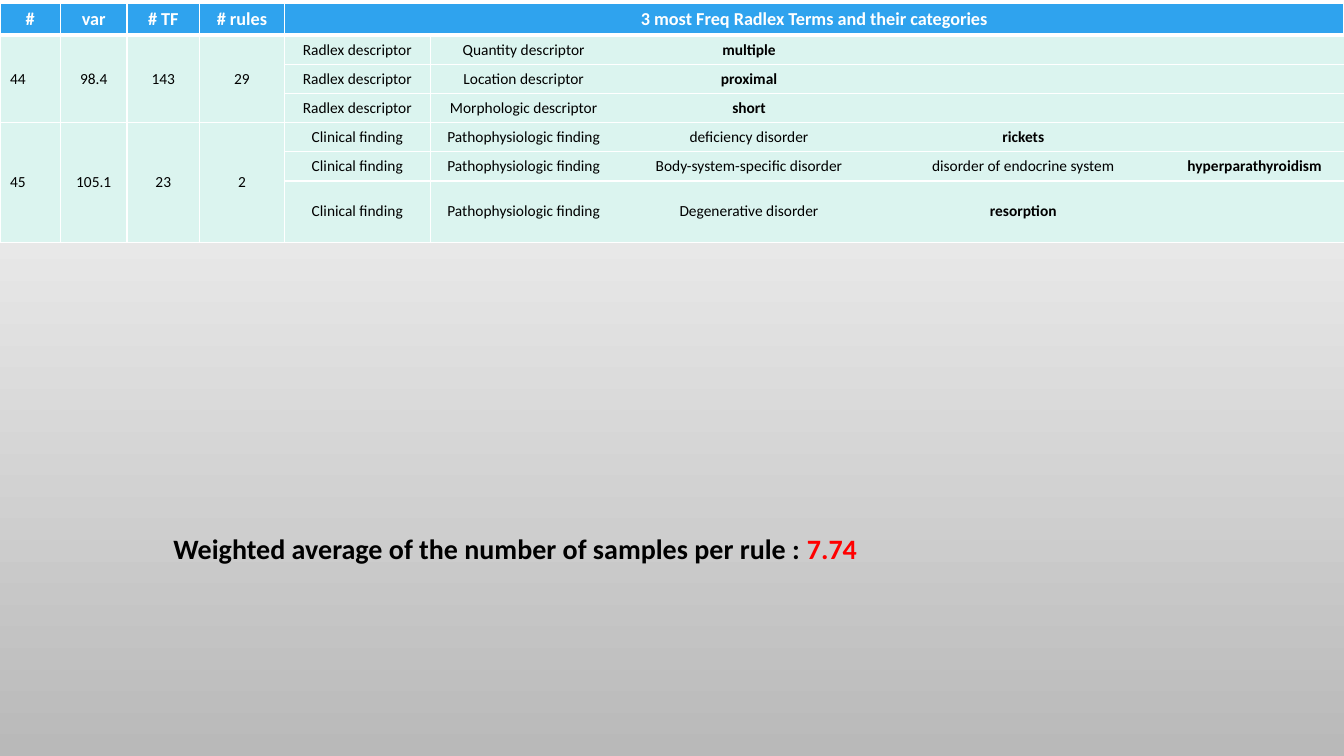
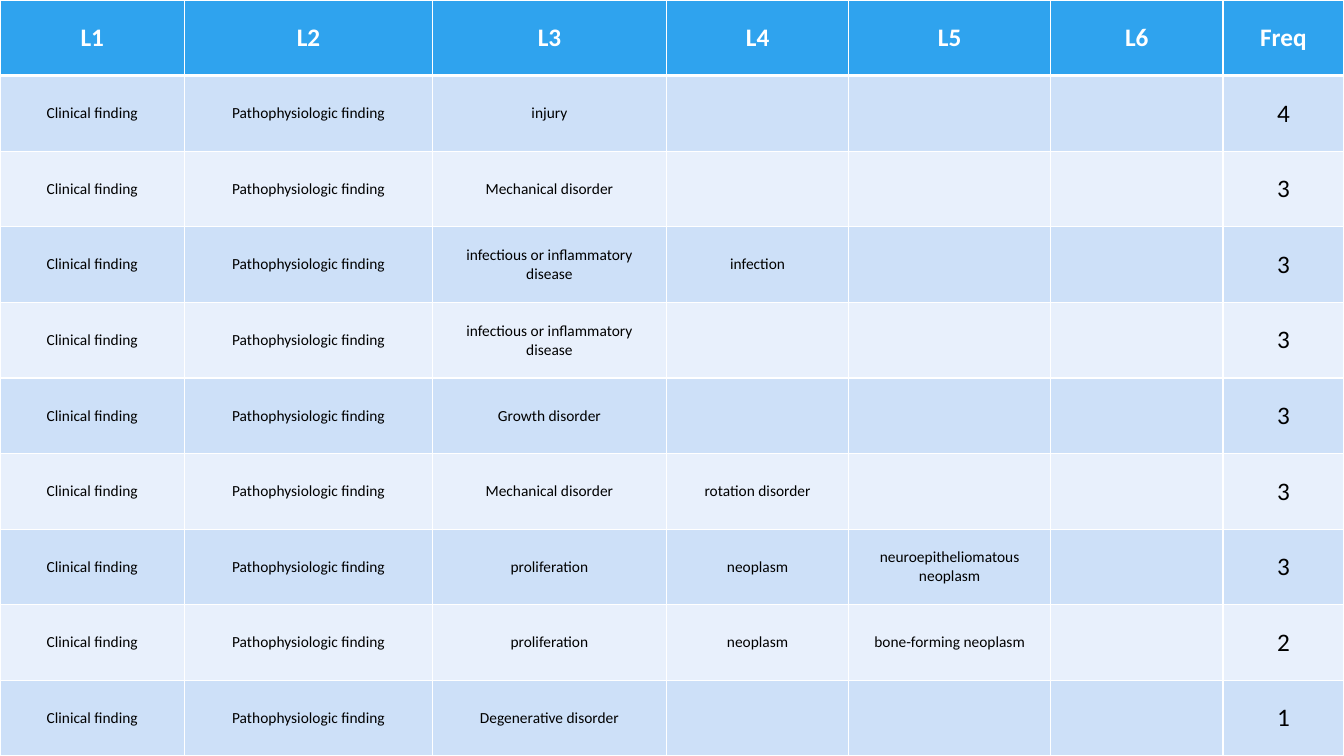
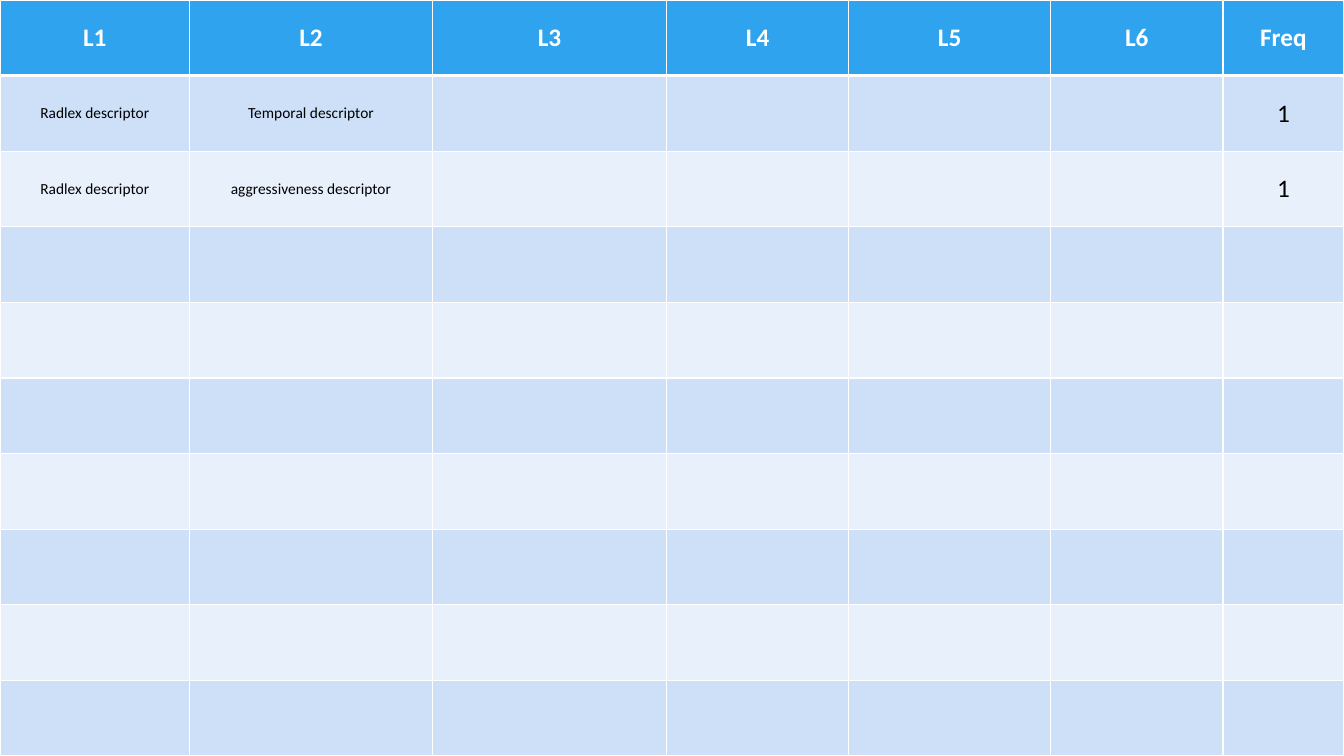
import lxml.etree
import pptx
import pptx.dml.color
import pptx.enum.text
import pptx.oxml.ns
import pptx.util

Inches, Pt = pptx.util.Inches, pptx.util.Pt
RGB = pptx.dml.color.RGBColor.from_string
PP_ALIGN = pptx.enum.text.PP_ALIGN
qn = pptx.oxml.ns.qn

COLORS = {
    "white": "FFFFFF", "black": "000000", "header": "2FA3EE", "mint": "DBF4EF",
    "band_dark": "CDE0F8", "band_light": "E8F0FC", "backdrop_end": "B9B9B9", "accent": "FF0000",
}
FONT = "Calibri"
NO_GRID_STYLE = "{2D5ABB26-0587-4C30-8999-92F81FD0307C}"
GRID = {"L": 1, "R": 1, "T": 1, "B": 1}
HEADER_GRID = {**GRID, "B": 3}


def add_grid(slide, top, widths, heights):
    frame = slide.shapes.add_table(
        len(heights), len(widths), 0, Inches(top), Inches(sum(widths)), Inches(sum(heights)))
    grid = frame.table
    grid.horz_banding = False
    grid._tbl.tblPr.find(qn("a:tableStyleId")).text = NO_GRID_STYLE
    for column, width in zip(grid.columns, widths):
        column.width = Inches(width)
    for row, height in zip(grid.rows, heights):
        row.height = Inches(height)
    return grid


def write_cell(cell, text, fill, borders, size=11, bold=False, color="black", align=PP_ALIGN.CENTER):
    properties = cell._tc.get_or_add_tcPr()
    for side in "LRTB":
        if side in borders:
            line = lxml.etree.SubElement(properties, qn("a:ln" + side), w=str(Pt(borders[side])))
            paint = lxml.etree.SubElement(line, qn("a:solidFill"))
            lxml.etree.SubElement(paint, qn("a:srgbClr"), val=COLORS["white"])
    cell.fill.solid()
    cell.fill.fore_color.rgb = RGB(COLORS[fill])
    cell.vertical_anchor = pptx.enum.text.MSO_ANCHOR.MIDDLE
    paragraph = cell.text_frame.paragraphs[0]
    paragraph.alignment = align
    if text:
        run = paragraph.add_run()
        run.text = text
        for key, value in {"name": FONT, "size": Pt(size), "bold": bold}.items():
            setattr(run.font, key, value)
        run.font.color.rgb = RGB(COLORS[color])
    else:
        lxml.etree.SubElement(paragraph._p, qn("a:endParaRPr"), sz=str(size * 100))


deck = pptx.Presentation()
deck.slide_width, deck.slide_height = Inches(13.33), Inches(7.5)
blank = deck.slide_layouts[6]

backdrop = deck.slide_master.background.fill
backdrop.gradient()
backdrop.gradient_angle = 270
for stop, position, shade in zip(backdrop.gradient_stops, (0, 1), ("white", "backdrop_end")):
    stop.position = position
    stop.color.rgb = RGB(COLORS[shade])

clusters = [
    (["44", "98.4", "143", "29"], [
        ["Radlex descriptor", "Quantity descriptor", "multiple"],
        ["Radlex descriptor", "Location descriptor", "proximal"],
        ["Radlex descriptor", "Morphologic descriptor", "short"],
    ]),
    (["45", "105.1", "23", "2"], [
        ["Clinical finding", "Pathophysiologic finding", "deficiency disorder", "rickets"],
        ["Clinical finding", "Pathophysiologic finding", "Body-system-specific disorder",
         "disorder of endocrine system", "hyperparathyroidism"],
        ["Clinical finding", "Pathophysiologic finding", "Degenerative disorder", "resorption"],
    ]),
]
cluster_headings = ["#", "var", "# TF", "# rules", "3 most Freq Radlex Terms and their categories"]
stat_count, term_count = 4, 5

summary_slide = deck.slides.add_slide(blank)
summary = add_grid(summary_slide, 0.03, [0.6, 0.66, 0.72, 0.84, 1.45, 1.85, 2.62, 2.82, 1.77],
                   [0.32] + [0.28] * 5 + [0.61])
summary.cell(0, stat_count).merge(summary.cell(0, stat_count + term_count - 1))
for c in range(stat_count + term_count):
    heading = cluster_headings[c] if c <= stat_count else ""
    write_cell(summary.cell(0, c), heading, "header", HEADER_GRID, 13, True, "white")

for number, (stats, term_rows) in enumerate(clusters):
    first = 1 + number * len(term_rows)
    for c in range(stat_count):
        summary.cell(first, c).merge(summary.cell(first + len(term_rows) - 1, c))
    for offset, terms in enumerate(term_rows):
        r = first + offset
        top_line = 3 if r == 1 else 1
        for c in range(stat_count):
            write_cell(summary.cell(r, c), "" if offset else stats[c], "mint", {**GRID, "T": top_line},
                       align=PP_ALIGN.CENTER if c else PP_ALIGN.LEFT)
        for level in range(term_count):
            term = terms[level] if level < len(terms) else ""
            borders = {"T": top_line, "B": 1}
            if level == 0:
                borders["L"] = 1
            write_cell(summary.cell(r, stat_count + level), term, "mint", borders,
                       bold=level == len(terms) - 1)

average = summary_slide.shapes.add_textbox(Inches(1.62), Inches(5.22), Inches(9.08), Inches(0.44)).text_frame
average.word_wrap = True
average.auto_size = pptx.enum.text.MSO_AUTO_SIZE.SHAPE_TO_FIT_TEXT
for words, color in [("Weighted average of the number of samples per rule : ", "black"), ("7.74", "accent")]:
    run = average.paragraphs[0].add_run()
    run.text = words
    for key, value in {"name": FONT, "size": Pt(20), "bold": True}.items():
        setattr(run.font, key, value)
    run.font.color.rgb = RGB(COLORS[color])

level_headings = ["L1", "L2", "L3", "L4", "L5", "L6", "Freq"]
finding = ["Clinical finding", "Pathophysiologic finding"]
findings = [
    (finding + ["injury"], "4"),
    (finding + ["Mechanical disorder"], "3"),
    (finding + ["infectious or inflammatory disease", "infection"], "3"),
    (finding + ["infectious or inflammatory disease"], "3"),
    (finding + ["Growth disorder"], "3"),
    (finding + ["Mechanical disorder", "rotation disorder"], "3"),
    (finding + ["proliferation", "neoplasm", "neuroepitheliomatous neoplasm"], "3"),
    (finding + ["proliferation", "neoplasm", "bone-forming neoplasm"], "2"),
    (finding + ["Degenerative disorder"], "1"),
]
descriptors = [
    (["Radlex descriptor", "Temporal descriptor"], "1"),
    (["Radlex descriptor", "aggressiveness descriptor"], "1"),
]
row_count = 10

for first_widths, entries in [([1.83, 2.46], findings), ([1.88, 2.41], descriptors)]:
    hierarchy = add_grid(deck.slides.add_slide(blank), 0, first_widths + [2.32, 1.81, 2, 1.71, 1.2],
                         [7.5 / row_count] * row_count)
    for c, heading in enumerate(level_headings):
        write_cell(hierarchy.cell(0, c), heading, "header", HEADER_GRID, 18, True, "white")
    for r in range(1, row_count):
        levels, frequency = entries[r - 1] if r <= len(entries) else ([], "")
        band = "band_dark" if r % 2 else "band_light"
        borders = {**GRID, "T": 3 if r == 1 else 1}
        texts = levels + [""] * (len(level_headings) - 1 - len(levels)) + [frequency]
        for c, text in enumerate(texts):
            write_cell(hierarchy.cell(r, c), text, band, borders,
                       18 if c == len(level_headings) - 1 else 11)

deck.save("out.pptx")
